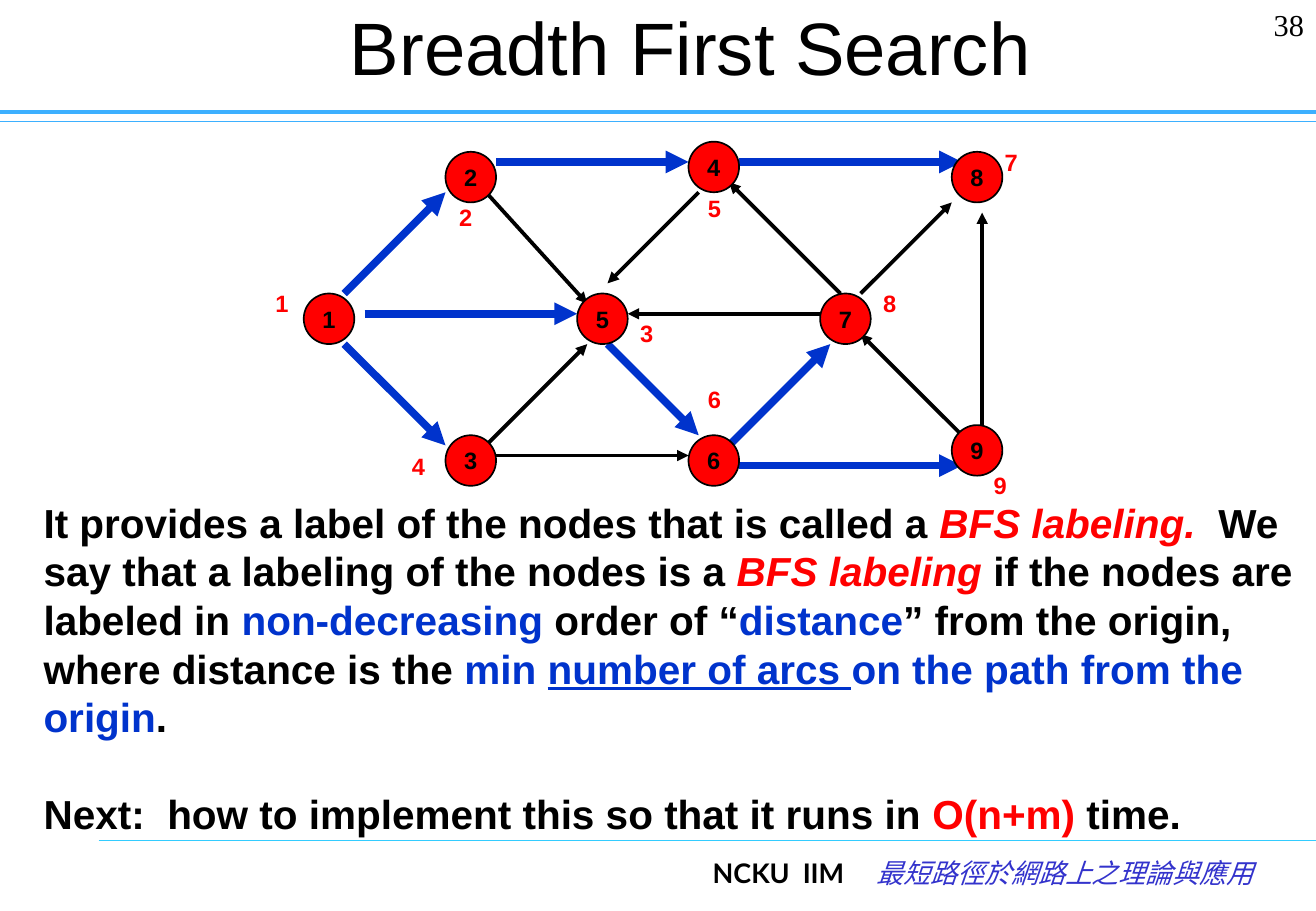
import dataclasses

import pptx
import pptx.dml.color
import pptx.enum.shapes
import pptx.enum.text
import pptx.oxml.ns
import pptx.util
from lxml import etree

Cm, Pt = pptx.util.Cm, pptx.util.Pt
PP_ALIGN, ANCHOR = pptx.enum.text.PP_ALIGN, pptx.enum.text.MSO_ANCHOR
SHAPE, qn = pptx.enum.shapes.MSO_SHAPE, pptx.oxml.ns.qn


@dataclasses.dataclass(frozen=True)
class Theme:
    black: str = "000000"
    white: str = "FFFFFF"
    red: str = "FF0000"
    blue: str = "0033CC"
    violet: str = "3333CC"
    header_rule: str = "3DB0FF"
    footer_rule: str = "33CCFF"
    face: str = "Arial"
    title: int = 44
    body: int = 24
    page: int = 18
    footer: int = 16
    graph: int = 14


theme = Theme()


def rgb(code):
    return pptx.dml.color.RGBColor.from_string(code)


def write(paragraph, runs, size, face=theme.face):
    """Add (text, colour, format) runs to the paragraph."""
    for text, colour, extra in runs:
        run = paragraph.add_run()
        run.text = text
        for name, value in {"size": Pt(size), "name": face, **extra}.items():
            setattr(run.font, name, value)
        run.font.color.rgb = rgb(colour)


deck = pptx.Presentation()
deck.slide_width, deck.slide_height = Cm(27.51), Cm(19.05)
slide = deck.slides.add_slide(deck.slide_layouts[1])
shapes = slide.shapes
BOLD = {"bold": True}

# Title and explanation
title, explanation = shapes.title, slide.placeholders[1]
for holder, (left, top, width, height), anchor in (
    (title, (3.66, 0, 21.56, 1.9), ANCHOR.MIDDLE),
    (explanation, (0.91, 10.41, 26.39, 7.19), ANCHOR.TOP),
):
    holder.left, holder.top = Cm(left), Cm(top)
    holder.width, holder.height = Cm(width), Cm(height)
    holder.text_frame.vertical_anchor = anchor
    holder.text_frame.auto_size = pptx.enum.text.MSO_AUTO_SIZE.NONE

heading = title.text_frame.paragraphs[0]
heading.alignment = PP_ALIGN.CENTER
write(heading, [("Breadth First Search", theme.black, {})], theme.title)

for side in ("left", "top", "right", "bottom"):
    setattr(explanation.text_frame, f"margin_{side}", 0)
ITALIC = {"bold": True, "italic": True}
definition = [
    ("It provides a label of the nodes that is called a ", theme.black, BOLD),
    ("BFS labeling.  ", theme.red, ITALIC),
    ("We say that a labeling of the nodes is a ", theme.black, BOLD),
    ("BFS labeling", theme.red, ITALIC),
    (" if the nodes are labeled in ", theme.black, BOLD),
    ("non-decreasing", theme.blue, BOLD),
    (" order of “", theme.black, BOLD),
    ("distance", theme.blue, BOLD),
    ("” from the origin, where distance is the ", theme.black, BOLD),
    ("min ", theme.blue, BOLD),
    ("number of arcs ", theme.blue, {"bold": True, "underline": True}),
    ("on the path from the origin", theme.blue, BOLD),
    (".", theme.black, BOLD),
]
next_step = [
    ("Next:  how to implement this so that it runs in ", theme.black, BOLD),
    ("O(n+m)", theme.red, BOLD),
    (" time.", theme.black, BOLD),
]
explanation.text_frame.add_paragraph()
for paragraph, runs, gap in zip(
    explanation.text_frame.paragraphs, (definition, next_step), (0, 28.8)
):
    properties = paragraph._p.get_or_add_pPr()
    properties.set("marL", "0")
    properties.set("indent", "0")
    etree.SubElement(properties, qn("a:buNone"))
    paragraph.line_spacing = Pt(28.8)
    paragraph.space_before = Pt(gap)
    write(paragraph, runs, theme.body)

# Page number and footer
page_box = shapes.add_textbox(Cm(25.22), 0, Cm(2.29), Cm(1.27))
page_box.text_frame.word_wrap = True
page = page_box.text_frame.paragraphs[0]
page.alignment = PP_ALIGN.RIGHT
write(page, [("38", theme.black, {})], theme.page, "Times New Roman")

footer_box = shapes.add_textbox(Cm(14.65), Cm(17.78), Cm(12.2), Cm(1.27))
footer_box.text_frame.word_wrap = True
footer = footer_box.text_frame.paragraphs[0]
tabs = etree.SubElement(footer._p.get_or_add_pPr(), qn("a:tabLst"))
etree.SubElement(tabs, qn("a:tab"), pos=str(Cm(3.43)), algn="l")
write(footer, [("NCKU  IIM\t", theme.black, BOLD)], theme.footer, "Lato")
write(footer, [("最短路徑於網路上之理論與應用", theme.violet, {"italic": True})],
      theme.footer, "Noto Sans Mono")
etree.SubElement(footer.runs[-1].font._element, qn("a:ea"), typeface="Noto Sans Mono")

# The graph lies on a grid of twelfths of an inch
GRID = 2.54 / 12
DIAMETER = 5
nodes = {
    1: (30, 29), 2: (44, 15), 3: (44, 43), 4: (68, 14), 5: (57, 29),
    6: (68, 43), 7: (81, 29), 8: (94, 15), 9: (94, 42),
}
other_arcs = [
    (85, 29, 94, 20), (83, 29, 72, 18), (69, 19, 60, 28),
    (48, 44, 58, 34), (49, 45, 68, 45), (95, 43, 85, 33),
    (97, 42, 97, 21), (81, 31, 62, 31), (48, 19, 58, 30),
]
tree_arcs = [
    (34, 29, 44, 19), (36, 31, 57, 31), (34, 34, 44, 44), (49, 16, 68, 16),
    (60, 34, 69, 43), (73, 16, 95, 16), (72, 44, 82, 34), (73, 46, 95, 46),
]
bfs_labels = {
    1: (5.51, 5.92), 2: (9.35, 4.11), 3: (13.13, 6.55),
    4: (8.36, 9.32), 5: (14.55, 3.94), 6: (14.55, 7.92),
    7: (20.75, 2.97), 8: (18.21, 5.92), 9: (20.52, 9.73),
}

for number, (left, top) in bfs_labels.items():
    label = shapes.add_textbox(Cm(left), Cm(top), Cm(0.84), Cm(0.86))
    label.fill.solid()
    label.fill.fore_color.rgb = rgb(theme.white)
    label.text_frame.word_wrap = True
    write(label.text_frame.paragraphs[0], [(str(number), theme.red, BOLD)], theme.graph)

rules = [
    ((0, 2.54, 27.51, 2.54), theme.header_rule, 0.75, False),
    ((0, 2.34, 27.51, 2.34), theme.header_rule, 2.5, False),
    ((2.06, 17.58, 27.51, 17.58), theme.footer_rule, 0.75, False),
]
arcs = [
    ([step * GRID for step in arc], colour, width, True)
    for group, colour, width in (
        (other_arcs, theme.black, 2.25), (tree_arcs, theme.blue, 4.5))
    for arc in group
]
for ends, colour, width, arrow in rules + arcs:
    stroke = shapes.add_connector(
        pptx.enum.shapes.MSO_CONNECTOR.STRAIGHT, *(Cm(end) for end in ends))
    stroke.line.color.rgb = rgb(colour)
    stroke.line.width = Pt(width)
    if arrow:
        etree.SubElement(stroke.line._get_or_add_ln(), qn("a:tailEnd"), type="triangle")
    etree.SubElement(stroke._element.spPr, qn("a:effectLst"))

for number, (column, row) in nodes.items():
    node = shapes.add_shape(
        SHAPE.OVAL, *(Cm(step * GRID) for step in (column, row, DIAMETER, DIAMETER)))
    node.shadow.inherit = False
    node.fill.solid()
    node.fill.fore_color.rgb = rgb(theme.red)
    node.line.color.rgb = rgb(theme.black)
    node.line.width = Pt(1)
    node.text_frame.word_wrap = False
    node.text_frame.vertical_anchor = ANCHOR.MIDDLE
    name = node.text_frame.paragraphs[0]
    name.alignment = PP_ALIGN.CENTER
    write(name, [(str(number), theme.black, BOLD)], theme.graph)

deck.save("out.pptx")
